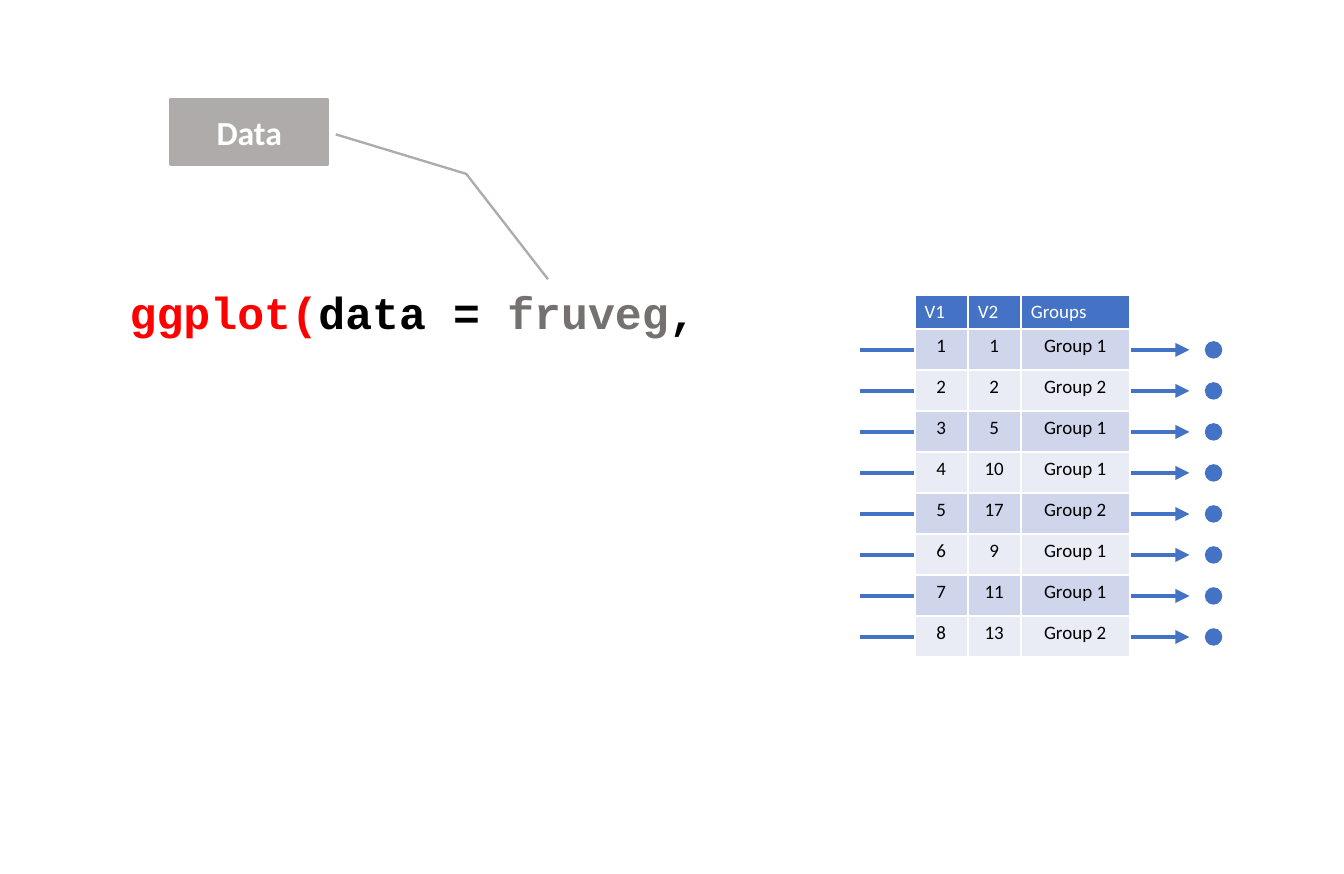
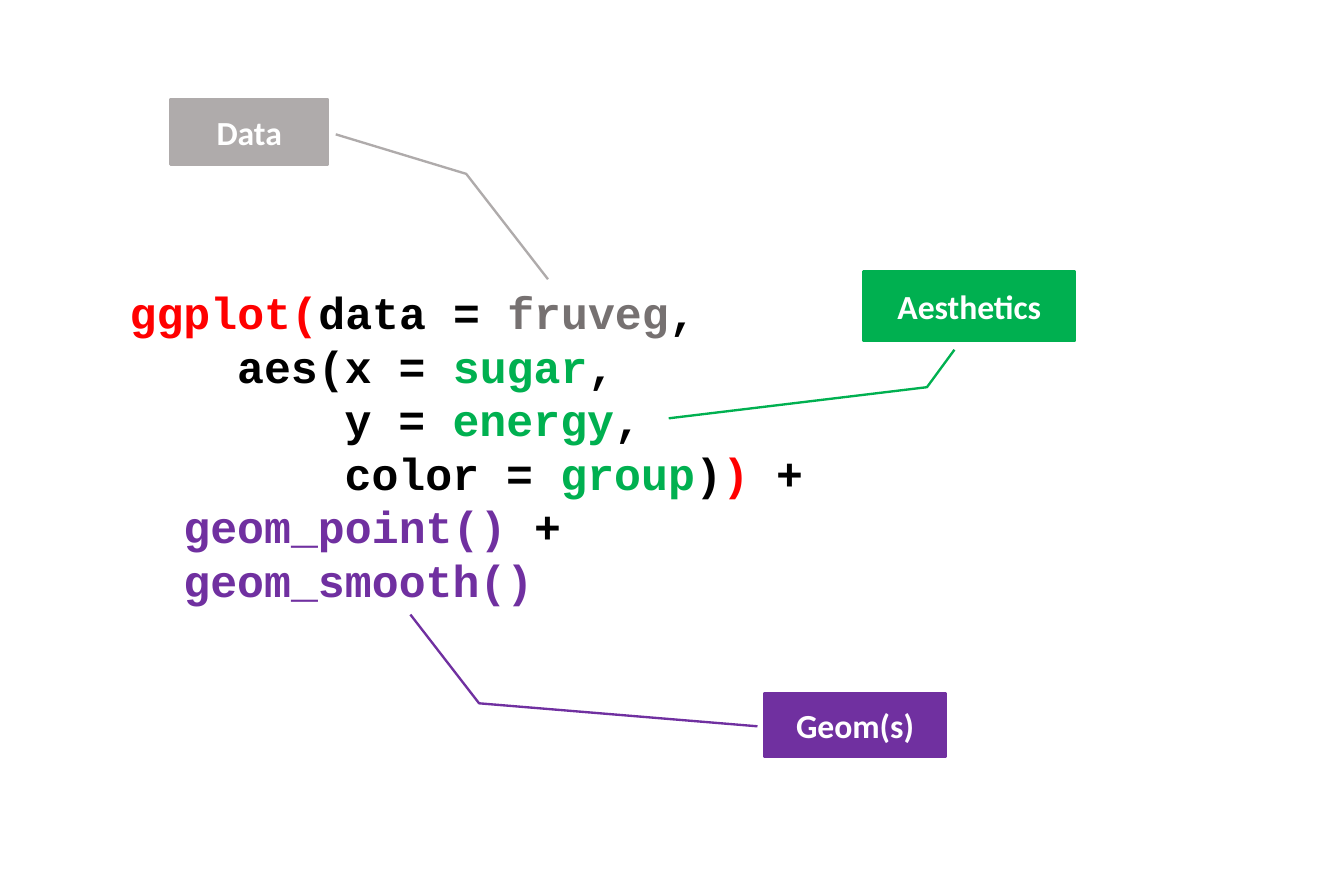
from lxml.etree import SubElement
from pptx import Presentation
from pptx.dml.color import RGBColor
from pptx.enum.shapes import MSO_CONNECTOR, MSO_SHAPE
from pptx.enum.text import MSO_ANCHOR, PP_ALIGN
from pptx.oxml import parse_xml
from pptx.oxml.ns import nsdecls, qn
from pptx.util import Cm, Pt

WHITE = RGBColor(0xFF, 0xFF, 0xFF)
BLACK = RGBColor(0, 0, 0)
RED = RGBColor(0xFF, 0, 0)
LIGHT_GREY = RGBColor(0xAF, 0xAB, 0xAB)
DARK_GREY = RGBColor(0x76, 0x71, 0x71)
GREEN = RGBColor(0, 0xB0, 0x50)
PURPLE = RGBColor(0x70, 0x30, 0xA0)
BLUE = RGBColor(0x44, 0x72, 0xC4)
BANDS = (RGBColor(0xCF, 0xD5, 0xEA), RGBColor(0xE9, 0xEB, 0xF5))

CODE_FONT = "Courier New"
BODY_FONT = "Calibri"
CODE_CHAR = 0.4

DATA_LINE = (0, [("ggplot(", RED), ("data = ", BLACK), ("fruveg", DARK_GREY), (",", BLACK)])
PLOT_LINES = [
    DATA_LINE,
    (4, [("aes(x = ", BLACK), ("sugar", GREEN), (",", BLACK)]),
    (8, [("y = ", BLACK), ("energy", GREEN), (",", BLACK)]),
    (8, [("color = ", BLACK), ("group", GREEN), (")", BLACK), (")", RED), (" +", BLACK)]),
    (2, [("geom_point() ", PURPLE), ("+", BLACK)]),
    (2, [("geom_smooth()", PURPLE)]),
]

DATA_CALLOUT = ("Data", LIGHT_GREY, (2.54, 1.47, 2.34, 0.98),
                (0.54, 1.05, 1.14, 1.88, 2.74, 2.4))
AESTHETICS_CALLOUT = ("Aesthetics", GREEN, (12.85, 4.04, 3.15, 1.03),
                      (1.13, 0.43, 1.67, 0.3, 2.12, -0.92))
GEOMS_CALLOUT = ("Geom(s)", PURPLE, (11.38, 10.31, 2.69, 0.95),
                 (0.52, -0.04, 0.16, -1.58, -1.23, -1.96))

HEADINGS = ("V1", "V2", "Groups")
V2_VALUES = (1, 2, 5, 10, 17, 9, 11, 13)
GROUPS = (1, 2, 1, 1, 2, 1, 1, 2)
OBSERVATIONS = [(str(v1), str(v2), f"Group {group}")
                for v1, (v2, group) in enumerate(zip(V2_VALUES, GROUPS), 1)]

TABLE_LEFT, TABLE_TOP = 13.61, 4.39
COLUMN_WIDTHS = (0.79, 0.79, 1.62)
HEADER_HEIGHT, ROW_HEIGHT = 0.48, 0.61
ARROW_START, ARROW_END = 12.8, 17.7
DOT_LEFT, DOT_SIZE = 17.93, 0.26


def style_run(run, font, size, color, bold=False):
    run.font.name = font
    run.font.size = Pt(size)
    run.font.color.rgb = color
    run.font.bold = bold


def add_code(slide, lines, height):
    code = slide.shapes.add_textbox(Cm(1.68), Cm(4.04), Cm(17.3), Cm(height))
    frame = code.text_frame
    frame.word_wrap = True
    frame.margin_top = Cm(0.2)
    for number, (indent, parts) in enumerate(lines):
        paragraph = frame.add_paragraph() if number else frame.paragraphs[0]
        paragraph.line_spacing = Pt(22.6)
        if indent:
            paragraph._p.get_or_add_pPr().set("marL", str(Cm(indent * CODE_CHAR)))
        for text, color in parts:
            run = paragraph.add_run()
            run.text = text
            style_run(run, CODE_FONT, 18.9, color, bold=True)


def add_callout(slide, label, color, box, leader):
    callout = slide.shapes.add_shape(MSO_SHAPE.LINE_CALLOUT_2, *map(Cm, box))
    callout.shadow.inherit = False
    for index, value in enumerate(leader):
        callout.adjustments[index] = value
    callout.fill.solid()
    callout.fill.fore_color.rgb = color
    callout.line.color.rgb = color
    callout.line.width = Pt(1)
    frame = callout.text_frame
    frame.text = label
    frame.vertical_anchor = MSO_ANCHOR.MIDDLE
    frame.paragraphs[0].alignment = PP_ALIGN.CENTER
    style_run(frame.paragraphs[0].runs[0], BODY_FONT, 14.2, WHITE, bold=True)


def row_middle(index):
    return TABLE_TOP + HEADER_HEIGHT + (index + 0.5) * ROW_HEIGHT + 0.03


def add_arrow(slide, y):
    arrow = slide.shapes.add_connector(
        MSO_CONNECTOR.STRAIGHT, Cm(ARROW_START), Cm(y), Cm(ARROW_END), Cm(y))
    arrow.line.color.rgb = BLUE
    arrow.line.width = Pt(1.5)
    SubElement(arrow.line._get_or_add_ln(), qn("a:tailEnd"), type="triangle")
    SubElement(arrow._element.spPr, qn("a:effectLst"))


def add_dot(slide, y):
    dot = slide.shapes.add_shape(
        MSO_SHAPE.OVAL, Cm(DOT_LEFT), Cm(y - DOT_SIZE / 2), Cm(DOT_SIZE), Cm(DOT_SIZE))
    dot.shadow.inherit = False
    dot.fill.solid()
    dot.fill.fore_color.rgb = BLUE
    dot.line.fill.background()


def fill_cell(cell, text, fill, color, alignment):
    properties = cell._tc.get_or_add_tcPr()
    for side in ("lnL", "lnR", "lnT", "lnB"):
        properties.append(parse_xml(
            f'<a:{side} {nsdecls("a")} w="{Pt(1)}"><a:solidFill>'
            f'<a:srgbClr val="{WHITE}"/></a:solidFill></a:{side}>'))
    cell.fill.solid()
    cell.fill.fore_color.rgb = fill
    cell.margin_left = cell.margin_right = Cm(0.15)
    cell.margin_top = cell.margin_bottom = Cm(0.08)
    cell.text_frame.text = text
    paragraph = cell.text_frame.paragraphs[0]
    paragraph.alignment = alignment
    style_run(paragraph.runs[0], BODY_FONT, 8, color)


def add_observations(slide):
    rows = [HEADINGS, *OBSERVATIONS]
    height = HEADER_HEIGHT + len(OBSERVATIONS) * ROW_HEIGHT
    table = slide.shapes.add_table(
        len(rows), len(HEADINGS), Cm(TABLE_LEFT), Cm(TABLE_TOP),
        Cm(sum(COLUMN_WIDTHS)), Cm(height)).table
    table.first_row = table.horz_banding = False
    for column, width in zip(table.columns, COLUMN_WIDTHS):
        column.width = Cm(width)
    for r, values in enumerate(rows):
        table.rows[r].height = Cm(ROW_HEIGHT if r else HEADER_HEIGHT)
        if r:
            look = (BANDS[(r - 1) % 2], BLACK, PP_ALIGN.CENTER)
        else:
            look = (BLUE, WHITE, PP_ALIGN.LEFT)
        for c, value in enumerate(values):
            fill_cell(table.cell(r, c), value, *look)


def add_slide(presentation, lines, code_height, callouts):
    slide = presentation.slides.add_slide(presentation.slide_layouts[6])
    add_code(slide, lines, code_height)
    for callout in callouts:
        add_callout(slide, *callout)
    return slide


def main():
    presentation = Presentation()
    presentation.slide_width = Cm(20)
    presentation.slide_height = Cm(13)

    data_slide = add_slide(presentation, [DATA_LINE], 1.88, [DATA_CALLOUT])
    middles = [row_middle(index) for index in range(len(OBSERVATIONS))]
    for y in middles:
        add_arrow(data_slide, y)
    add_observations(data_slide)
    for y in middles:
        add_dot(data_slide, y)

    add_slide(presentation, PLOT_LINES, 5.1,
              [DATA_CALLOUT, AESTHETICS_CALLOUT, GEOMS_CALLOUT])
    presentation.save("out.pptx")


if __name__ == "__main__":
    main()
